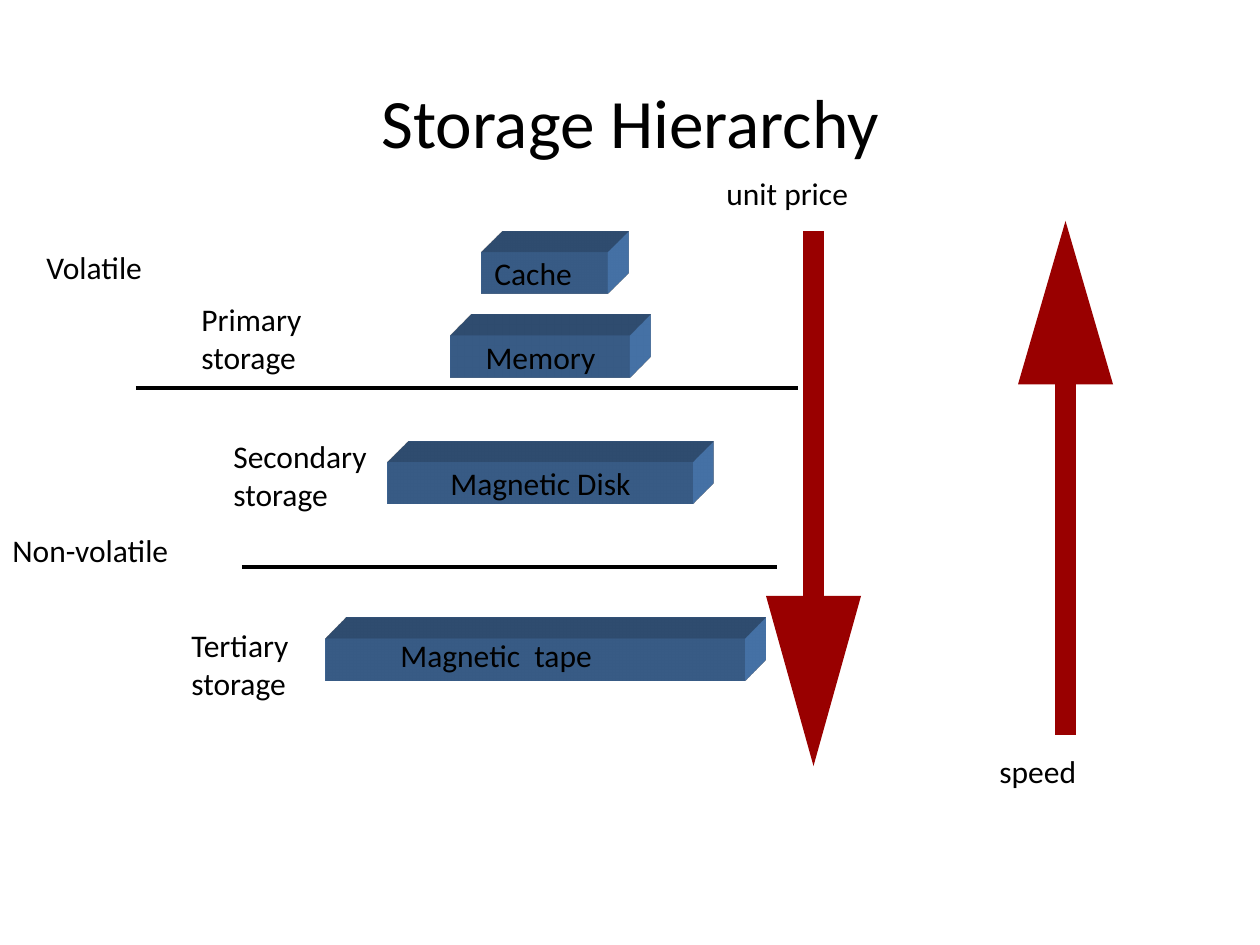
from lxml import etree
from pptx import Presentation
from pptx import util as u
from pptx.dml.color import RGBColor
from pptx.enum import shapes, text
from pptx.oxml.ns import qn

PX = 914400 / 126
BLACK = RGBColor(0x00, 0x00, 0x00)
BLUE = RGBColor(0x4F, 0x81, 0xBD)
RED = RGBColor(0x99, 0x00, 0x00)
FONT = "Calibri"
LEFT, CENTER = text.PP_ALIGN.LEFT, text.PP_ALIGN.CENTER
TOP, MIDDLE = text.MSO_ANCHOR.TOP, text.MSO_ANCHOR.MIDDLE

TITLE = ("Storage Hierarchy", 87, 72, 1086, 97)
LABELS = [
    ("Magnetic  tape", 388, 630, 284, 50),
    ("unit price", 714, 168, 294, 50),
    ("Volatile", 34, 242, 273, 50),
    ("Non-volatile", 0, 525, 210, 50),
    ("speed", 987, 746, 179, 50),
    ("Secondary storage", 221, 431, 189, 88),
    ("Tertiary storage", 179, 620, 189, 88),
    ("Primary storage", 189, 294, 189, 88),
]
BLOCK_H = 42
BLOCKS = [
    ("", 325, 639, 420, CENTER),
    ("Magnetic Disk", 388, 462, 305, CENTER),
    ("Cache", 482, 252, 126, LEFT),
    ("Memory", 451, 336, 179, CENTER),
]
DIVIDERS = [(136, 798, 388), (242, 777, 567)]
ARROWS = [
    (shapes.MSO_SHAPE.DOWN_ARROW, 766, 231, 95, 535, 1.79),
    (shapes.MSO_SHAPE.UP_ARROW, 1018, 221, 95, 514, 1.72),
]


def emu(*lengths):
    return [round(n * PX) for n in lengths]


def write(sp, words, size=18, align=LEFT, **frame):
    tf = sp.text_frame
    for name, value in frame.items():
        setattr(tf, name, value)
    p = tf.paragraphs[0]
    p.alignment = align
    r = p.add_run()
    r.text = words
    r.font.color.rgb = BLACK
    for name, value in {"name": FONT, "size": u.Pt(size)}.items():
        setattr(r.font, name, value)


def add_solid(slide, kind, box, color):
    sp = slide.shapes.add_shape(kind, *emu(*box))
    sp.shadow.inherit = False
    sp.fill.solid()
    sp.fill.fore_color.rgb = color
    sp.line.fill.background()
    return sp


def extrude(sp):
    pr = sp._element.spPr
    scene = etree.SubElement(pr, qn("a:scene3d"))
    etree.SubElement(scene, qn("a:camera"), prst="legacyObliqueTopRight")
    etree.SubElement(scene, qn("a:lightRig"), rig="legacyFlat3", dir="b")
    solid = etree.SubElement(pr, qn("a:sp3d"), extrusionH="430200",
                             prstMaterial="legacyMatrix")
    color = etree.SubElement(solid, qn("a:extrusionClr"))
    etree.SubElement(color, qn("a:srgbClr"), val=str(BLUE))


def add_text(slide, words, *box, **style):
    sp = slide.shapes.add_textbox(*emu(*box))
    write(sp, words, word_wrap=True, **style)


def main():
    prs = Presentation()
    prs.slide_width, prs.slide_height = emu(1260, 945)
    slide = prs.slides.add_slide(prs.slide_layouts[6])

    for x1, x2, y in DIVIDERS:
        line = slide.shapes.add_connector(shapes.MSO_CONNECTOR.STRAIGHT, *emu(x1, y, x2, y))
        line.line.color.rgb = BLACK
        line.line.width = u.Pt(2.25)
        etree.SubElement(line._element.spPr, qn("a:effectLst"))

    add_text(slide, *TITLE, size=39.6, align=CENTER, vertical_anchor=MIDDLE)

    for words, x, y, w, align in BLOCKS:
        sp = add_solid(slide, shapes.MSO_SHAPE.RECTANGLE, (x, y, w, BLOCK_H), BLUE)
        extrude(sp)
        if words:
            write(sp, words, align=align, word_wrap=False, vertical_anchor=MIDDLE)

    for kind, x, y, w, h, head in ARROWS:
        sp = add_solid(slide, kind, (x, y, w, h), RED)
        sp.adjustments[0] = 0.22
        sp.adjustments[1] = head

    for label in LABELS:
        add_text(slide, *label, vertical_anchor=TOP)

    prs.save("out.pptx")


if __name__ == "__main__":
    main()
